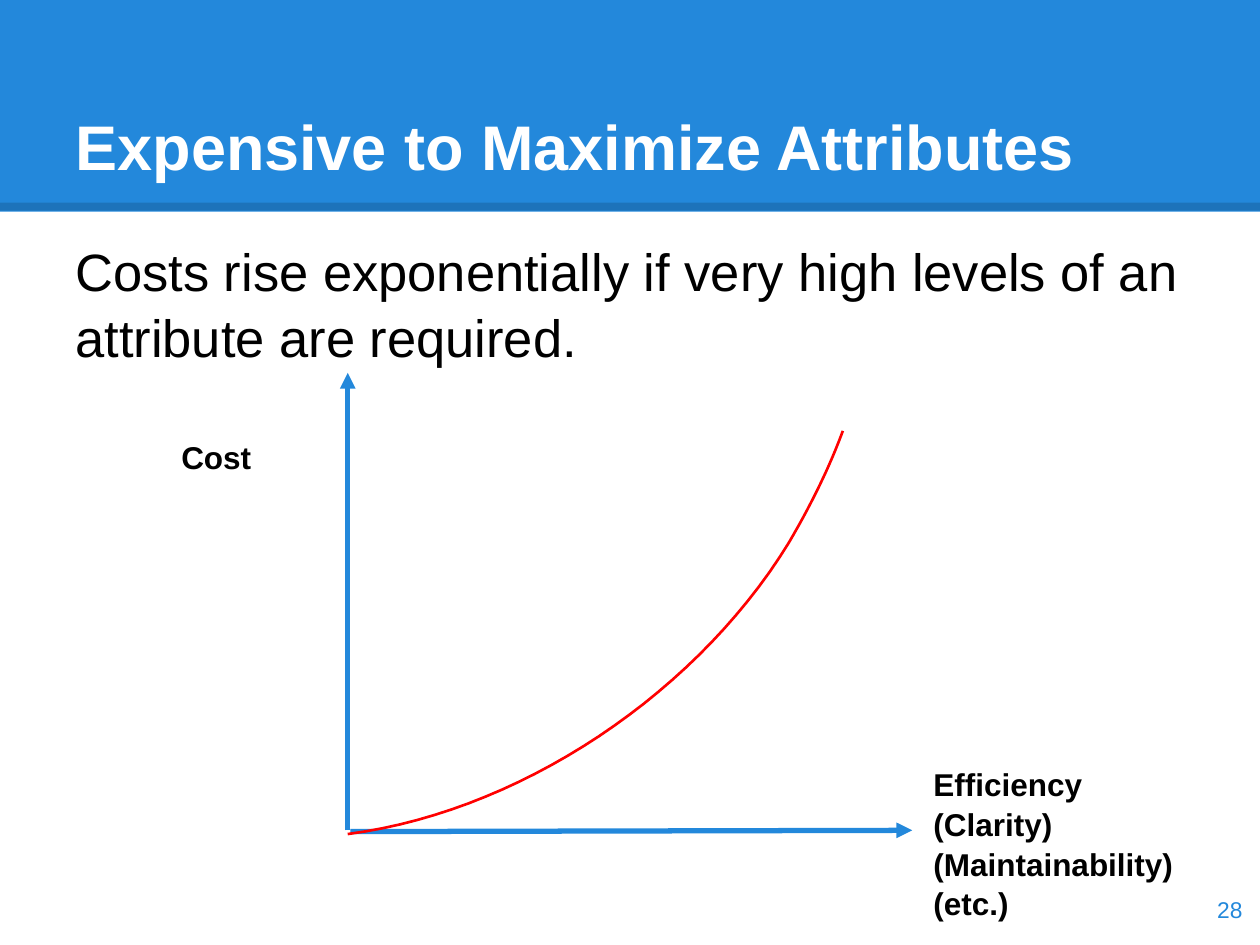
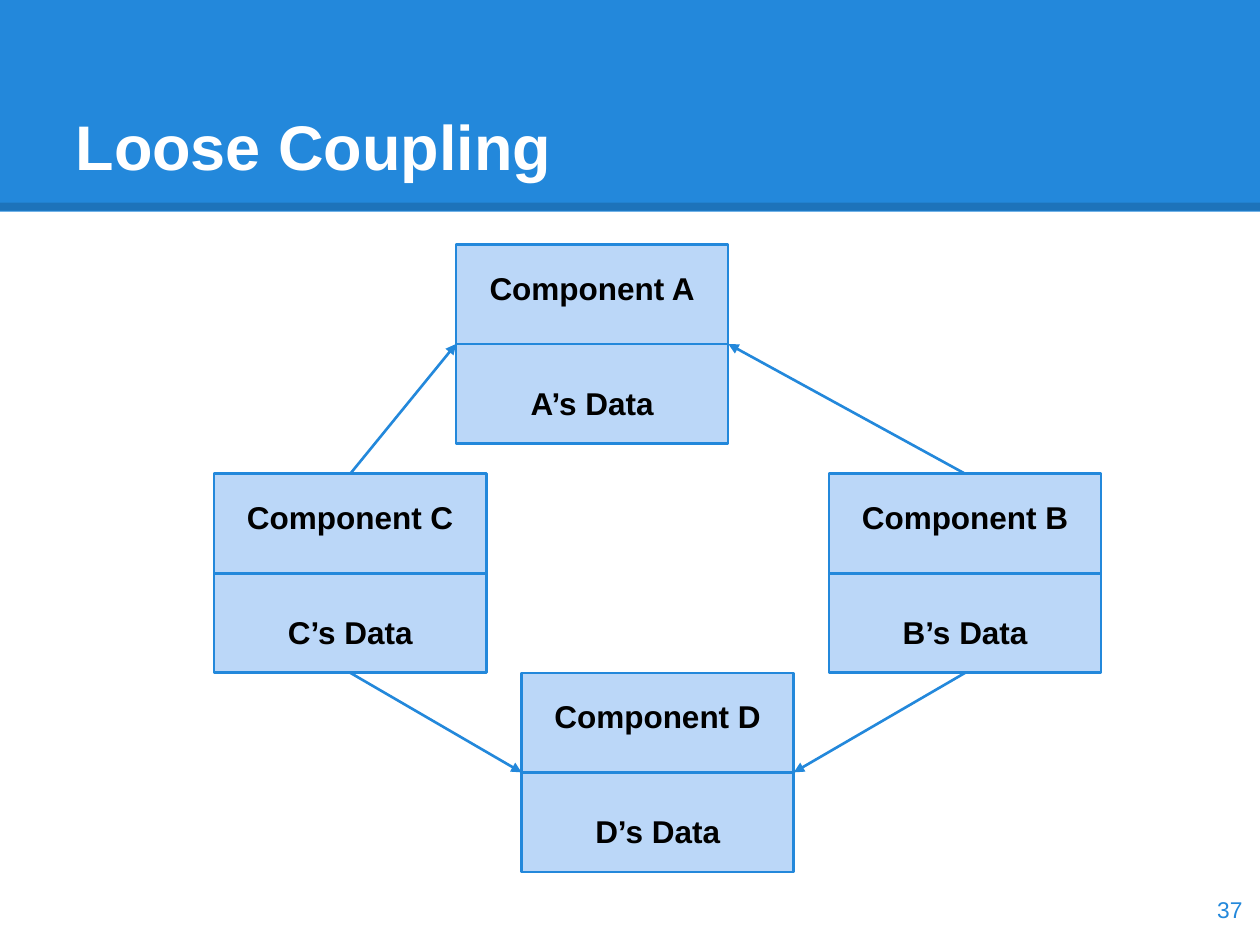
"""Build two lecture slides: a cost curve and a loosely coupled component diagram."""
from lxml import etree
from pptx import Presentation
from pptx import util as u
from pptx.dml.color import RGBColor
from pptx.enum import shapes, text
from pptx.oxml.ns import qn

PX = 9144
FONT = "Arial"
BLUE, PALE, RED, BLACK, WHITE = "2388DB", "BBD7F8", "FF0000", "000000", "FFFFFF"
rgb = RGBColor.from_string


def write(shape, lines, size, color=BLACK, bold=False, align=text.PP_ALIGN.LEFT,
          anchor=text.MSO_ANCHOR.TOP, spacing=1.05, gap=0):
    tf = shape.text_frame
    tf.word_wrap = True
    tf.auto_size = text.MSO_AUTO_SIZE.NONE
    tf.vertical_anchor = anchor
    tf.margin_left = tf.margin_right = tf.margin_top = tf.margin_bottom = 10 * PX
    for i, content in enumerate(lines):
        p = tf.add_paragraph() if i else tf.paragraphs[0]
        p.text = content
        p.alignment = align
        p.line_spacing = spacing
        p.space_before = u.Pt(gap if i else 0)
        p.font.name, p.font.size, p.font.bold = FONT, u.Pt(size), bold
        p.font.color.rgb = rgb(color)


def line(s, ends, color=BLUE, width=1.5, arrow=False):
    c = s.shapes.add_connector(shapes.MSO_CONNECTOR.STRAIGHT, *[v * PX for v in ends])
    c.line.color.rgb = rgb(color)
    c.line.width = u.Pt(width)
    sp_pr = c.element.spPr
    if arrow:
        etree.SubElement(sp_pr.find(qn("a:ln")), qn("a:tailEnd"), type="triangle")
    etree.SubElement(sp_pr, qn("a:effectLst"))
    return c


prs = Presentation()
prs.slide_width, prs.slide_height = 1000 * PX, 750 * PX

slides = []
for title_text, number in (("Expensive to Maximize Attributes", "28"), ("Loose Coupling", "37")):
    s = prs.slides.add_slide(prs.slide_layouts[5])
    title = s.shapes.title
    title.left, title.top, title.width, title.height = [v * PX for v in (50, 30, 934, 125)]
    write(title, [title_text], 36, WHITE, True, anchor=text.MSO_ANCHOR.BOTTOM, spacing=1.0)

    band = s.shapes.add_shape(shapes.MSO_SHAPE.RECTANGLE, 0, 0, 1000 * PX, 168 * PX)
    band.shadow.inherit = False
    band.fill.solid()
    band.fill.fore_color.rgb = rgb(BLUE)
    band.line.fill.background()
    edge = line(s, (0, 164, 1000, 164), BLACK, 4.5)
    etree.SubElement(next(edge.element.iter(qn("a:srgbClr"))), qn("a:alpha"), val="15000")
    for sp in (band, edge):
        title.element.addprevious(sp.element)

    page = s.shapes.add_textbox(*[v * PX for v in (936, 693, 60, 57)])
    write(page, [number], 13, BLUE, align=text.PP_ALIGN.RIGHT,
          anchor=text.MSO_ANCHOR.MIDDLE, spacing=1.0)
    slides.append(s)

cost_slide, coupling_slide = slides

labels = (
    ((50, 177, 900, 541), 30, False,
     ["Costs rise exponentially if very high levels of an attribute are required."]),
    ((134, 336, 161, 78), 18, True, ["Cost"]),
    ((731, 596, 253, 78), 18, True,
     ["Efficiency", "(Clarity)", "(Maintainability)", "(etc.)"]),
)
for box, size, bold, lines in labels:
    write(cost_slide.shapes.add_textbox(*[v * PX for v in box]), lines, size, bold=bold)

for axis in ((276, 659, 276, 296), (278, 660, 724, 659)):
    line(cost_slide, axis, width=3, arrow=True)

STEPS = 30
curve = [(276, 662)]
for bezier in (((276, 662), (414, 644), (553, 550), (626, 431)),
               ((626, 431), (643, 402), (658, 372), (669, 342))):
    for step in range(1, STEPS + 1):
        t = step / STEPS
        weights = ((1 - t) ** 3, 3 * t * (1 - t) ** 2, 3 * t * t * (1 - t), t ** 3)
        curve.append(tuple(sum(w * pt[k] for w, pt in zip(weights, bezier)) for k in (0, 1)))
points = [(x * PX, y * PX) for x, y in curve]
builder = cost_slide.shapes.build_freeform(*points[0])
builder.add_line_segments(points[1:], close=False)
cost_curve = builder.convert_to_shape()
cost_curve.shadow.inherit = False
cost_curve.fill.background()
cost_curve.line.color.rgb = rgb(RED)
cost_curve.line.width = u.Pt(1.5)

TOP, LEFT, BOTTOM, RIGHT = range(4)
components = {}
for name, x, y in (("A", 362, 194), ("B", 658, 376), ("C", 170, 376), ("D", 414, 534)):
    sp = coupling_slide.shapes.add_shape(shapes.MSO_SHAPE.RECTANGLE,
                                         x * PX, y * PX, 216 * PX, 158 * PX)
    sp.shadow.inherit = False
    sp.fill.solid()
    sp.fill.fore_color.rgb = rgb(PALE)
    sp.line.color.rgb = rgb(BLUE)
    sp.line.width = u.Pt(1.5)
    write(sp, [f"Component {name}", f"{name}’s Data"], 18, bold=True,
          align=text.PP_ALIGN.CENTER, anchor=text.MSO_ANCHOR.MIDDLE, gap=43)
    components[name] = sp

dividers = [(name, LEFT, name, RIGHT, False) for name in components]
arrows = [("C", TOP, "A", LEFT, True), ("B", TOP, "A", RIGHT, True),
          ("C", BOTTOM, "D", LEFT, True), ("B", BOTTOM, "D", RIGHT, True)]
for source, source_side, target, target_side, arrow in dividers + arrows:
    c = line(coupling_slide, (0, 0, 0, 0), arrow=arrow)
    c.begin_connect(components[source], source_side)
    c.end_connect(components[target], target_side)

prs.save("out.pptx")
